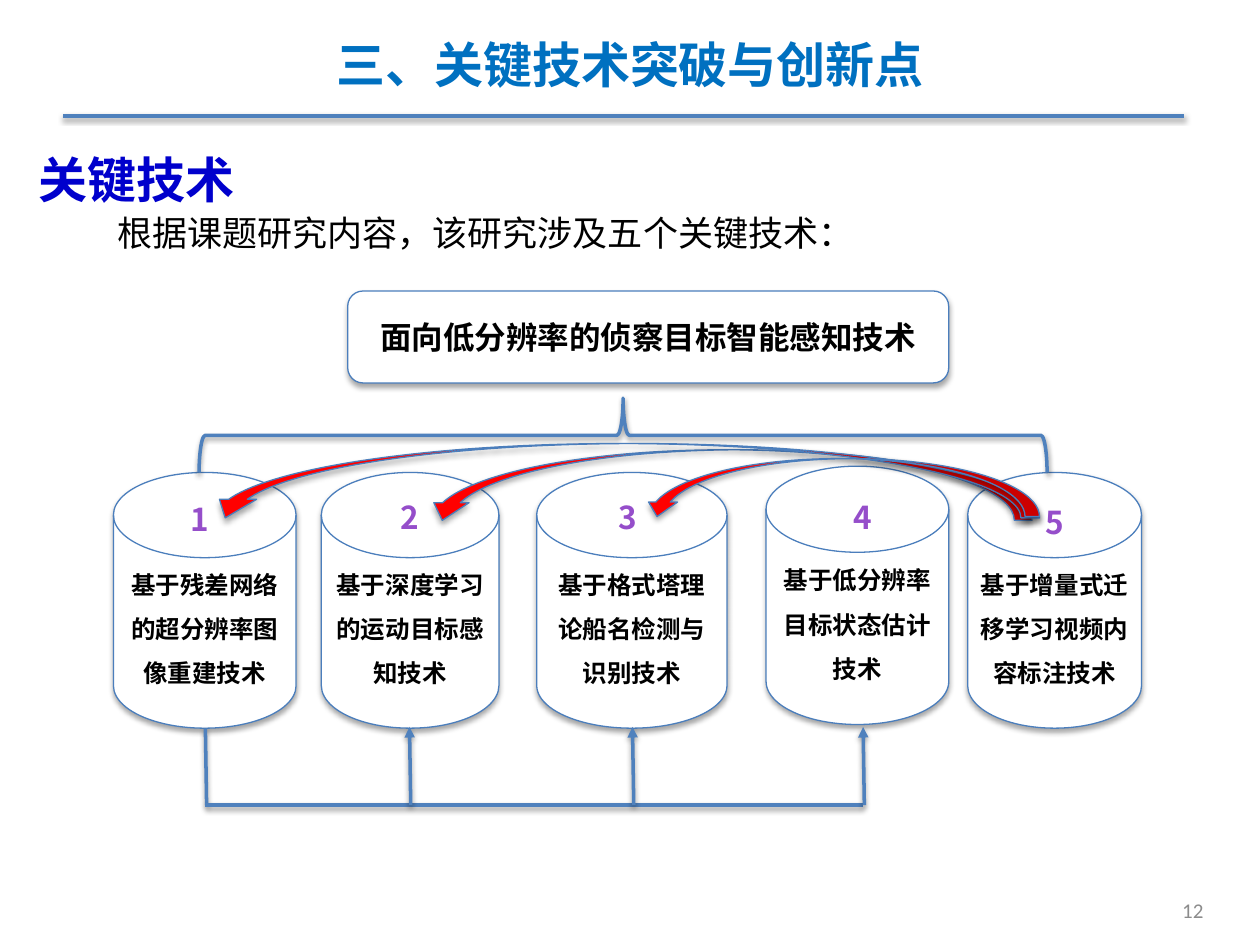
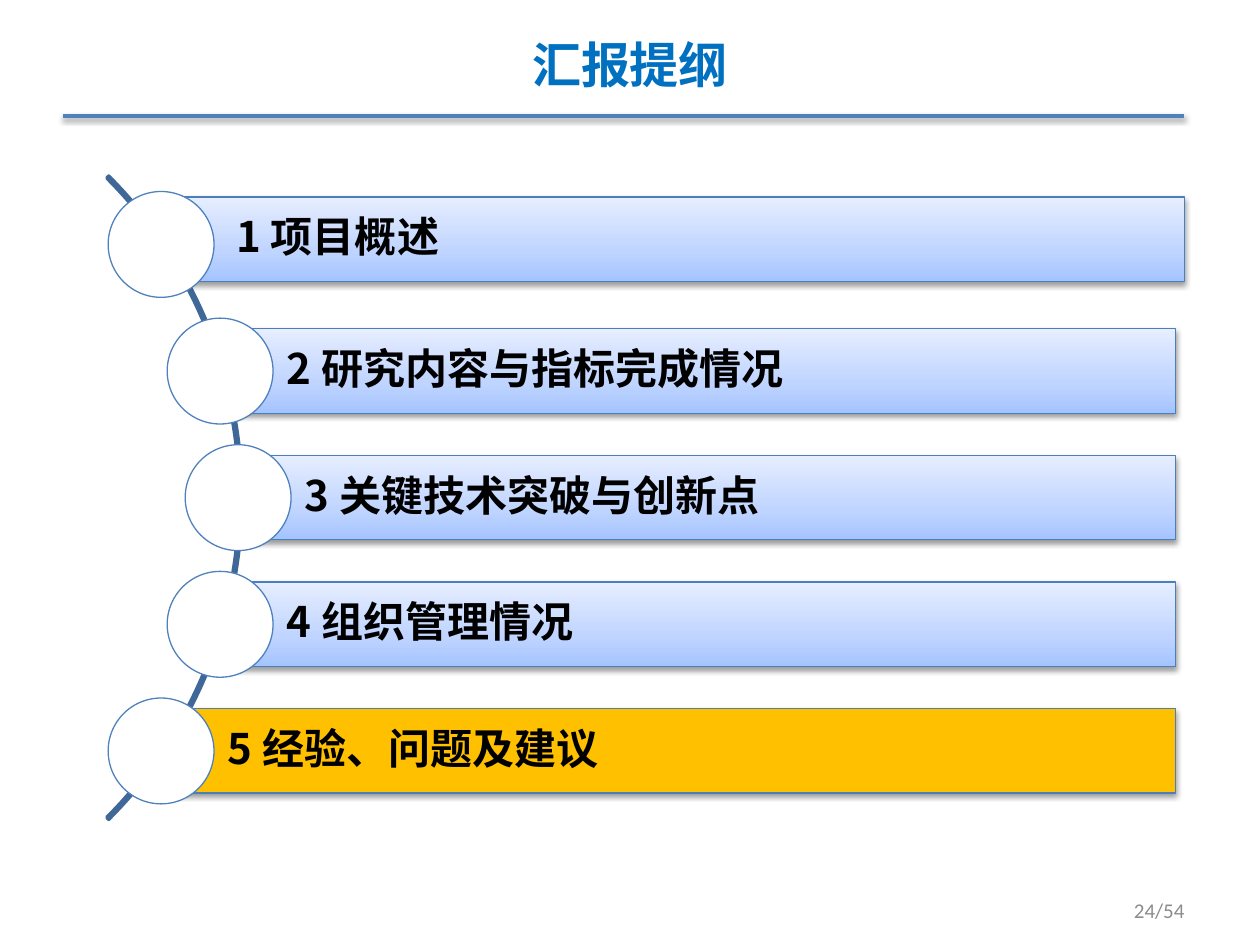
from math import sqrt

from pptx import Presentation
from pptx.dml.color import RGBColor
from pptx.enum.shapes import MSO_CONNECTOR as Connector, MSO_SHAPE as Preset
from pptx.enum.text import MSO_ANCHOR as Anchor, PP_ALIGN as Align
from pptx.oxml import parse_xml
from pptx.oxml.ns import nsdecls
from pptx.util import Inches, Pt

CJK_FONT = "Noto Sans CJK SC"
WHITE = RGBColor(0xFF, 0xFF, 0xFF)
BLACK = RGBColor(0x00, 0x00, 0x00)
GRAY = RGBColor(0x8C, 0x8C, 0x8C)
TITLE_BLUE = RGBColor(0x00, 0x70, 0xC0)
HEADING_BLUE = RGBColor(0x00, 0x00, 0xCC)
LINE_BLUE = RGBColor(0x4F, 0x81, 0xBD)
EDGE_BLUE = RGBColor(0x4B, 0x7E, 0xBC)
ARC_BLUE = RGBColor(0x3F, 0x67, 0x97)
PURPLE = RGBColor(0x95, 0x4E, 0xCA)
RED = RGBColor(0xFF, 0x00, 0x00)
GOLD = RGBColor(0xFF, 0xC0, 0x00)
BAR_STOPS = [
    (0, RGBColor(0xA4, 0xC4, 0xFF)),
    (35, RGBColor(0xBF, 0xD4, 0xFF)),
    (100, RGBColor(0xE6, 0xEE, 0xFF)),
]
SOFT_SHADOW = (35, 1.8)
LINE_SHADOW = (38, 1.6)


def write_text(frame, text, size=18, color=BLACK, bold=True, font=CJK_FONT,
               align=Align.LEFT, anchor=Anchor.TOP, wrap=True,
               line_spacing=None, space_after=None, margins=None):
    frame.word_wrap = wrap
    frame.vertical_anchor = anchor
    if margins:
        (frame.margin_left, frame.margin_top,
         frame.margin_right, frame.margin_bottom) = map(Inches, margins)
    para = frame.paragraphs[0]
    para.alignment = align
    if line_spacing:
        para.line_spacing = line_spacing
    if space_after:
        para.space_after = Pt(space_after)
    span = para.add_run()
    span.text = text
    span.font.name = font
    span.font.size = Pt(size)
    span.font.bold = bold
    span.font.color.rgb = color
    span.font._element.append(
        parse_xml(f'<a:ea {nsdecls("a")} typeface="{CJK_FONT}"/>'))


def set_shadow(shape, shadow):
    inner = ""
    if shadow:
        opacity, distance = shadow
        inner = (f'<a:outerShdw blurRad="{Pt(3.1)}" dist="{Pt(distance)}" '
                 f'dir="5400000" rotWithShape="0"><a:srgbClr val="000000">'
                 f'<a:alpha val="{opacity * 1000}"/></a:srgbClr></a:outerShdw>')
    shape._element.spPr.append(
        parse_xml(f'<a:effectLst {nsdecls("a")}>{inner}</a:effectLst>'))


def set_gradient(shape, stops):
    marks = "".join(
        f'<a:gs pos="{position * 1000}"><a:srgbClr val="{color}"/></a:gs>'
        for position, color in stops)
    shape._element.spPr.find("{*}prstGeom").addnext(parse_xml(
        f'<a:gradFill {nsdecls("a")} rotWithShape="1"><a:gsLst>{marks}</a:gsLst>'
        '<a:lin ang="16200000" scaled="0"/></a:gradFill>'))


class ReportDeck:
    def __init__(self):
        self.deck = Presentation()
        self.deck.slide_width = Inches(10)
        self.deck.slide_height = Inches(7.5)
        self.page = None

    def add_page(self, title, number, number_left):
        self.page = self.deck.slides.add_slide(self.deck.slide_layouts[5])
        holder = self.page.shapes.title
        holder.left, holder.top = Inches(0.5), Inches(0.2)
        holder.width, holder.height = Inches(9), Inches(0.61)
        write_text(holder.text_frame, title, size=28, color=TITLE_BLUE,
                   align=Align.CENTER, anchor=Anchor.MIDDLE)
        self.line((0.5, 0.92), (9.4, 0.92))
        self.text((number_left, 7.1, 2.33, 0.25), number, size=12, color=GRAY,
                  bold=False, font="Calibri", align=Align.RIGHT,
                  anchor=Anchor.MIDDLE)

    def text(self, place, text, **style):
        box = self.page.shapes.add_textbox(*map(Inches, place))
        write_text(box.text_frame, text, **style)

    def shape(self, preset, place, fill=None, edge=EDGE_BLUE, weight=0.75,
              shadow=SOFT_SHADOW, text=None, **style):
        shape = self.page.shapes.add_shape(preset, *map(Inches, place))
        if isinstance(fill, list):
            set_gradient(shape, fill)
        elif fill is not None:
            shape.fill.solid()
            shape.fill.fore_color.rgb = fill
        else:
            shape.fill.background()
        shape.line.color.rgb = edge
        shape.line.width = Pt(weight)
        set_shadow(shape, shadow)
        if text:
            write_text(shape.text_frame, text, anchor=Anchor.MIDDLE, **style)
        return shape

    def line(self, start, end, arrow=False):
        line = self.page.shapes.add_connector(
            Connector.STRAIGHT, *map(Inches, start + end))
        line.line.color.rgb = LINE_BLUE
        line.line.width = Pt(2)
        if arrow:
            line.line._get_or_add_ln().append(
                parse_xml(f'<a:tailEnd {nsdecls("a")} type="triangle"/>'))
        set_shadow(line, LINE_SHADOW)

    def back_arrow(self, place):
        arrow = self.shape(Preset.CURVED_DOWN_ARROW, place, fill=RED)
        arrow._element.spPr.xfrm.set("flipH", "1")


def add_key_technologies(report):
    report.add_page("三、关键技术突破与创新点", "12", 7.32)
    report.text((0.21, 0.95, 1.78, 0.76), "关键技术", size=28,
                color=HEADING_BLUE, font="Times New Roman", wrap=False,
                line_spacing=1.4)
    report.text((0.65, 1.63, 8.75, 0.44),
                "根据课题研究内容，该研究涉及五个关键技术：", size=20,
                bold=False, margins=(0.28, 0.05, 0.1, 0.05))
    report.shape(Preset.ROUNDED_RECTANGLE, (2.76, 2.31, 4.77, 0.73), fill=WHITE,
                 text="面向低分辨率的侦察目标智能感知技术", align=Align.CENTER)

    cylinders = [
        (0.9, 3.75, 1.45, 2.03, "基于残差网络的超分辨率图像重建技术"),
        (2.55, 3.75, 1.41, 2.03, "基于深度学习的运动目标感知技术"),
        (4.26, 3.75, 1.51, 2.03, "基于格式塔理论船名检测与识别技术"),
        (6.08, 3.7, 1.45, 2.05, "基于低分辨率目标状态估计技术"),
        (7.68, 3.75, 1.38, 2.03, "基于增量式迁移学习视频内容标注技术"),
    ]
    for *place, technology in cylinders:
        report.shape(Preset.FLOWCHART_MAGNETIC_DISK, place, fill=WHITE,
                     text=technology, size=14, align=Align.CENTER,
                     line_spacing=1.5)

    brace = report.shape(Preset.LEFT_BRACE, (4.65, 0.09, 0.59, 6.73),
                         edge=LINE_BLUE, weight=2, shadow=LINE_SHADOW)
    brace.rotation = 90

    number_places = [(1.41, 3.92), (3.07, 3.9), (4.8, 3.9), (6.67, 3.9), (8.19, 3.94)]
    for number, (left, top) in enumerate(number_places, 1):
        report.text((left, top, 0.36, 0.4), str(number), color=PURPLE,
                    align=Align.CENTER, wrap=False)

    feed_y = 6.39
    report.line((1.63, 5.78), (1.64, feed_y))
    report.line((1.63, feed_y), (6.85, feed_y))
    for x in (3.25, 5.02, 6.85):
        report.line((x + 0.01, feed_y), (x, 5.77), arrow=True)

    for place in [(3.37, 3.57, 4.82, 0.56), (1.64, 3.52, 6.61, 0.59),
                  (5.1, 3.64, 3.15, 0.46)]:
        report.back_arrow(place)


def add_outline(report):
    report.add_page("汇报提纲", "24/54", 7.17)
    radius, center_x, center_y = 3.61, -1.69, 3.95
    arc = report.shape(
        Preset.BLOCK_ARC,
        (center_x - radius, center_y - radius, 2 * radius, 2 * radius),
        edge=ARC_BLUE, weight=2, shadow=None)
    for index, value in enumerate((189, 27, 0.003)):
        arc.adjustments[index] = value

    topics = ["项目概述", "研究内容与指标完成情况", "关键技术突破与创新点",
              "组织管理情况", "经验、问题及建议"]
    pitch, disc, bar_height = 1.005, 0.84, 0.67
    for index, topic in enumerate(topics):
        offset = (index - 2) * pitch
        x = center_x - 0.03 + sqrt(radius ** 2 - offset ** 2)
        y = center_y + offset
        shift_x, shift_y = (0.07, -0.04) if index == 0 else (0, 0)
        report.shape(
            Preset.RECTANGLE,
            (x + shift_x, y - bar_height / 2 + shift_y, 9.33 - x, bar_height),
            fill=GOLD if topic == topics[-1] else BAR_STOPS,
            shadow=LINE_SHADOW, text=f"{index + 1} {topic}", size=24,
            line_spacing=0.9, space_after=8.4, margins=(0.53, 0.07, 0.07, 0.07))
        report.shape(Preset.OVAL, (x - disc / 2, y - disc / 2, disc, disc),
                     fill=WHITE, edge=LINE_BLUE, shadow=None)


def main():
    report = ReportDeck()
    add_key_technologies(report)
    add_outline(report)
    report.deck.save("out.pptx")


if __name__ == "__main__":
    main()
